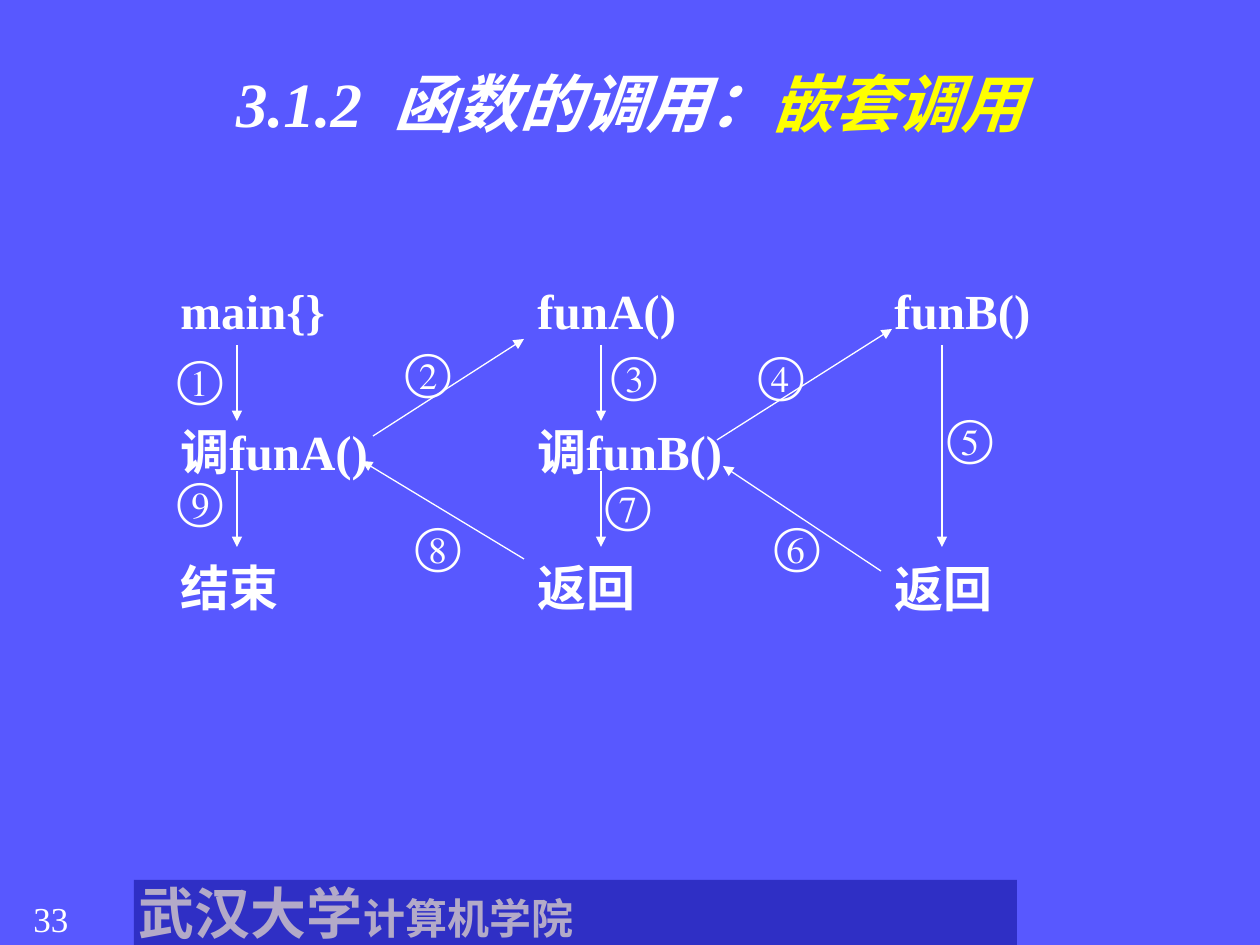
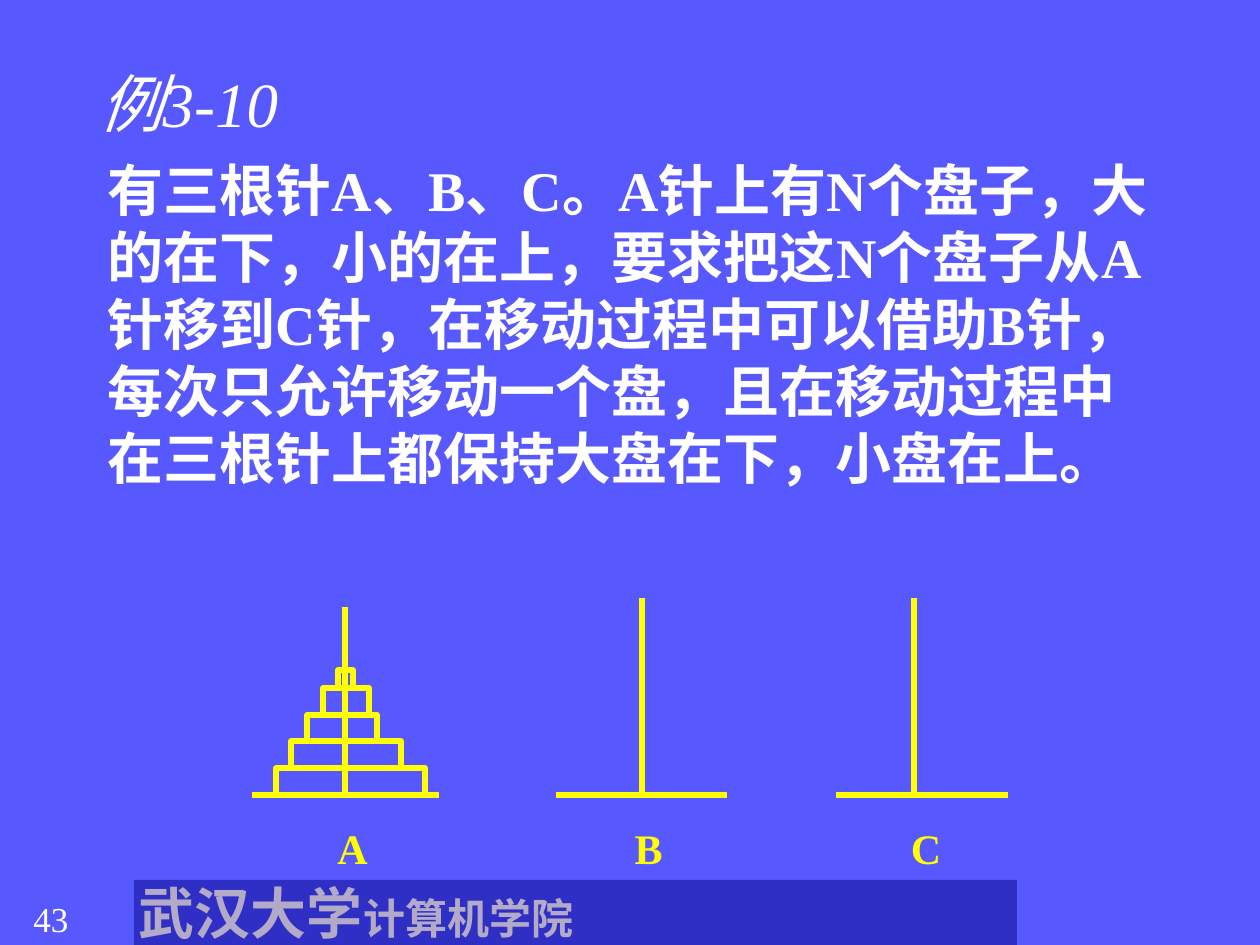
from lxml import etree
from pptx import Presentation
from pptx.dml.color import RGBColor
from pptx.enum.shapes import MSO_CONNECTOR as Conn, MSO_SHAPE as Shape
from pptx.enum.text import MSO_ANCHOR as Anchor, PP_ALIGN as Align
from pptx.oxml.ns import qn
from pptx.util import Pt

HUES = {"back": "5858FF", "bar": "2F2FC5", "dim": "B3AAC8",
        "white": "FFFFFF", "gold": "FFFF00"}
SERIF, SANS = "Times New Roman", "Noto Sans CJK SC"
WIDE, HIGH = 1260, 945


def px(n):
    return round(n * 914400 / 126)


def hue(name):
    return RGBColor.from_string(HUES[name])


# Shared drawing helpers
def add_run(para, text, size, color="white", bold=False, italic=False,
            face=SERIF, asian=SANS):
    run = para.add_run()
    run.text = text
    font = run.font
    font.size, font.bold, font.italic, font.name = Pt(size), bold, italic, face
    font.color.rgb = hue(color)
    if asian:
        etree.SubElement(run._r.get_or_add_rPr(), qn("a:ea")).set("typeface", asian)
    return run


def set_frame(frame, inset=None, wrap=True, anchor=Anchor.TOP):
    frame.word_wrap, frame.vertical_anchor = wrap, anchor
    if inset is not None:
        frame.margin_left = frame.margin_right = px(inset)
        frame.margin_top = frame.margin_bottom = 0
    return frame.paragraphs[0]


def add_box(slide, x, y, w, h, **opts):
    box = slide.shapes.add_textbox(px(x), px(y), px(w), px(h))
    return box.text_frame, set_frame(box.text_frame, **opts)


def add_rect(slide, x, y, w, h):
    rect = slide.shapes.add_shape(Shape.RECTANGLE, px(x), px(y), px(w), px(h))
    rect.shadow.inherit = False
    return rect


def add_line(slide, start, end, color, width, arrow=False):
    line = slide.shapes.add_connector(Conn.STRAIGHT, *map(px, start + end))
    line.line.color.rgb, line.line.width = hue(color), Pt(width)
    if arrow:
        tip = etree.SubElement(line.line._get_or_add_ln(), qn("a:tailEnd"))
        tip.set("type", "triangle")
    etree.SubElement(line._element.spPr, qn("a:effectLst"))


# Parts found on every slide
def add_foot(slide, number):
    _, para = add_box(slide, 21, 891, 105, 54)
    add_run(para, number, 20)
    bar = add_rect(slide, 134, 880, 883, 65)
    bar.fill.solid()
    bar.fill.fore_color.rgb = hue("bar")
    bar.line.fill.background()
    para = set_frame(bar.text_frame, inset=5, anchor=Anchor.MIDDLE)
    para.alignment = Align.JUSTIFY
    for text, size in (("武汉大学", 32), ("计算机学院", 24)):
        add_run(para, text, size, "dim", bold=True, face=SANS)


def new_slide(deck, number, align):
    slide = deck.slides.add_slide(deck.slide_layouts[5])
    add_foot(slide, number)
    title = slide.shapes.title
    title.left, title.top, title.width, title.height = map(px, (87, 50, 1086, 183))
    para = set_frame(title.text_frame)
    para.alignment, para.line_spacing = align, Pt(48)
    return slide, para


# Call diagram
def add_column(slide, x, y, rows):
    frame, para = add_box(slide, x, y, 231, 357)
    for i, (text, gap) in enumerate(rows):
        if i:
            para = frame.add_paragraph()
            para.space_before = Pt(gap)
        para.alignment, para.line_spacing = Align.JUSTIFY, Pt(38.5)
        add_run(para, text, 28, bold=True)


def add_calls(slide, x, y):
    columns = [
        (0, [("main{}", 0), ("调funA()", 42), ("结束", 39)]),
        (357, [("funA()", 0), ("调funB()", 42), ("返回", 39)]),
        (714, [("funB()", 0), ("返回", 120)]),
    ]
    for dx, rows in columns:
        add_column(slide, x + dx, y, rows)

    # Arrows: steps down a column, then calls and returns
    down = [(69, 79, 155), (69, 205, 281), (433, 79, 155),
            (433, 205, 281), (774, 79, 281)]
    cross = [(205, 170, 356, 73), (356, 293, 194, 195),
             (549, 174, 724, 63), (713, 305, 555, 200)]
    for x1, y1, x2, y2 in [(a, b, a, c) for a, b, c in down] + cross:
        add_line(slide, (x + x1, y + y1), (x + x2, y + y2), "white", 0.75, True)

    # Step numbers
    spots = [(10, 82), (238, 75), (443, 78), (591, 78), (780, 141),
             (607, 249), (438, 208), (247, 249), (10, 204)]
    for mark, (dx, dy) in zip("①②③④⑤⑥⑦⑧⑨", spots):
        _, para = add_box(slide, x + dx, y + dy, 42, 50, inset=0, wrap=False)
        add_run(para, mark, 28, asian=None)


# Three pegs, discs on the first
def add_pegs(slide, x, y):
    pegs = [("A", 0, 187, 93, 188, 54, 93), ("B", 304, 171, 390, 197, 350, 93),
            ("C", 584, 172, 662, 197, 631, 86)]
    for name, left, wide, mid, tall, tag, room in pegs:
        add_line(slide, (x + left, y), (x + left + wide, y), "gold", 3)
        add_line(slide, (x + mid, y), (x + mid, y - tall), "gold", 3)
        _, para = add_box(slide, x + tag, y + 21, room, 64)
        para.alignment = Align.CENTER
        add_run(para, name, 24, "gold", bold=True)

    top = y
    for left, wide, tall in [(24, 149, 27), (39, 110, 27), (55, 70, 26),
                             (71, 46, 27), (86, 15, 18)]:
        top -= tall
        disc = add_rect(slide, x + left, top, wide, tall)
        disc.fill.background()
        disc.line.color.rgb, disc.line.width = hue("gold"), Pt(3)


def call_slide(deck):
    slide, para = new_slide(deck, "33", Align.CENTER)
    style = {"bold": True, "italic": True}
    add_run(para, "3.1.2", 36, **style)
    gap = add_run(para, " ", 36, **style)
    gap._r.get_or_add_rPr().set("spc", "900")
    add_run(para, "函数的调用：", 36, **style)
    add_run(para, "嵌套调用", 36, "gold", **style)
    add_calls(slide, 168, 266)


def peg_slide(deck):
    slide, para = new_slide(deck, "43", Align.LEFT)
    add_run(para, "例3-10", 36, italic=True)
    _, para = add_box(slide, 95, 149, 1086, 600)
    para.line_spacing = Pt(38.3)
    add_run(para, "有三根针A、B、C。A针上有N个盘子，大的在下，小的在上，"
            "要求把这N个盘子从A针移到C针，在移动过程中可以借助B针，"
            "每次只允许移动一个盘，且在移动过程中在三根针上都保持大盘在下，"
            "小盘在上。", 32, bold=True)
    add_pegs(slide, 252, 795)


def main():
    deck = Presentation()
    deck.slide_width, deck.slide_height = px(WIDE), px(HIGH)
    fill = deck.slide_master.background.fill
    fill.solid()
    fill.fore_color.rgb = hue("back")
    call_slide(deck)
    peg_slide(deck)
    deck.save("out.pptx")


if __name__ == "__main__":
    main()
